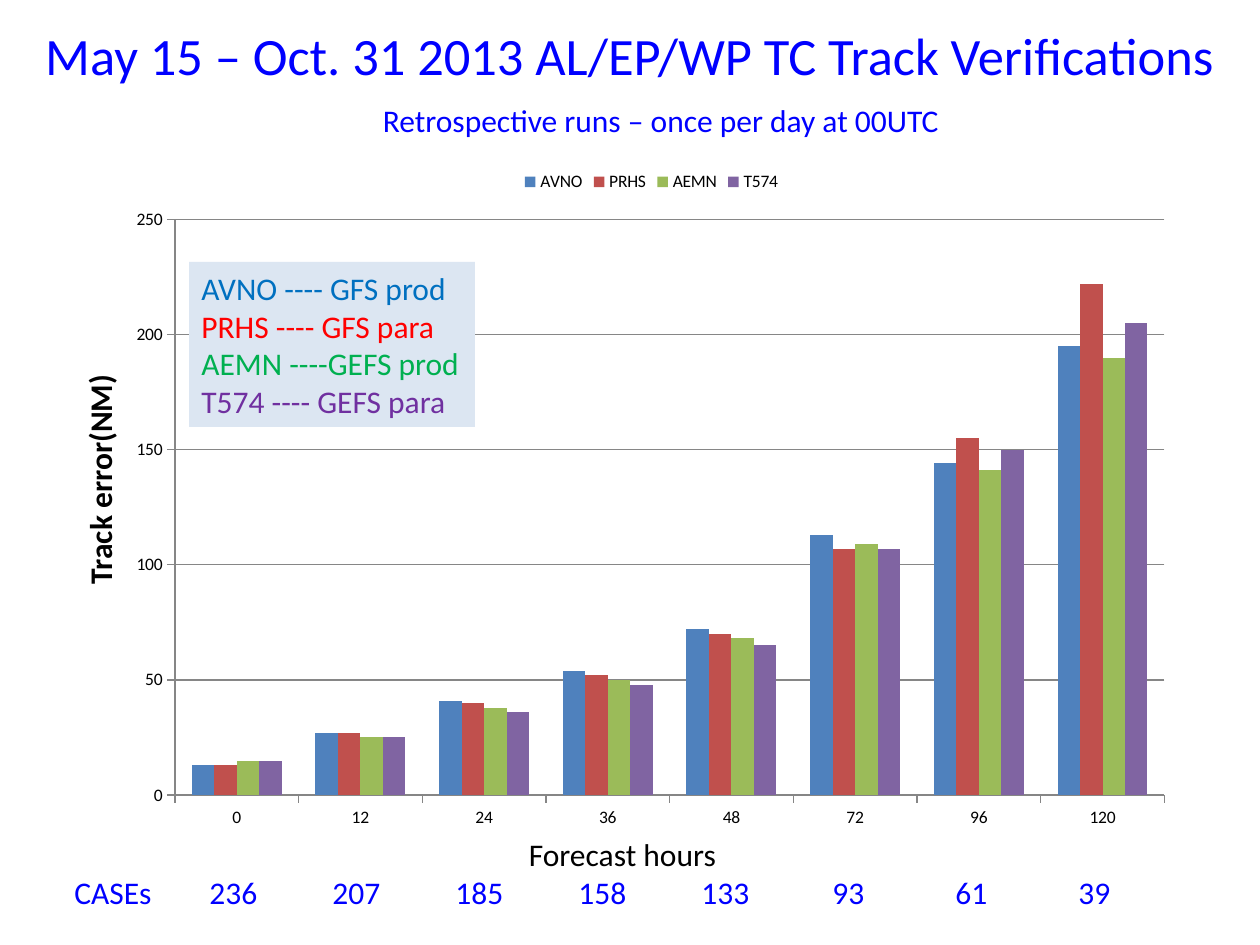
import pptx
import pptx.chart.data
import pptx.dml.color
import pptx.enum.chart
import pptx.enum.shapes
import pptx.enum.text
import pptx.oxml
import pptx.oxml.ns
import pptx.util

PX = 914400 // 126
RGB = pptx.dml.color.RGBColor.from_string
ALIGN = pptx.enum.text.PP_ALIGN
THEME = {
    "font": "Calibri", "title": 30, "body": 18, "chart": 10,
    "blue": "0000FF", "black": "000000", "key_fill": "DCE6F2", "grid": "868686",
}


def box(left, top, width, height):
    return [value * PX for value in (left, top, width, height)]


def write(shape, lines, colors, size=THEME["body"], align=ALIGN.LEFT, wrap=True, bold=False):
    frame = shape.text_frame
    frame.word_wrap = wrap
    frame.text = "\n".join(lines)
    for paragraph, color in zip(frame.paragraphs, colors):
        paragraph.alignment = align
        for run in paragraph.runs:
            run.font.name = THEME["font"]
            run.font.size = pptx.util.Pt(size)
            run.font.bold = bold
            run.font.color.rgb = RGB(color)


deck = pptx.Presentation()
deck.slide_width, deck.slide_height = 1260 * PX, 945 * PX
slide = deck.slides.add_slide(deck.slide_layouts[6])
shapes = slide.shapes

track_errors = pptx.chart.data.CategoryChartData()
track_errors.categories = ["0", "12", "24", "36", "48", "72", "96", "120"]
models = [
    ("AVNO", "4F81BD", [13, 27, 41, 54, 72, 113, 144, 195]),
    ("PRHS", "C0504D", [13, 27, 40, 52, 70, 107, 155, 222]),
    ("AEMN", "9BBB59", [15, 25, 38, 50, 68, 109, 141, 190]),
    ("T574", "8064A2", [15, 25, 36, 48, 65, 107, 150, 205]),
]
for name, color, errors in models:
    track_errors.add_series(name, errors)
chart = shapes.add_chart(
    pptx.enum.chart.XL_CHART_TYPE.COLUMN_CLUSTERED, *box(116, 158, 1071, 683), track_errors
).chart
chart.has_title = False
chart.font.name = THEME["font"]
chart.font.size = pptx.util.Pt(THEME["chart"])
chart.font.color.rgb = RGB(THEME["black"])
chart.has_legend = True
chart.legend.position = pptx.enum.chart.XL_LEGEND_POSITION.TOP
chart.legend.include_in_layout = False

bars = chart.plots[0]
bars.gap_width = 150
bars.overlap = 0
bars.vary_by_categories = False
for series, (name, color, errors) in zip(bars.series, models):
    series.format.fill.solid()
    series.format.fill.fore_color.rgb = RGB(color)

error_axis, hour_axis = chart.value_axis, chart.category_axis
error_axis.minimum_scale, error_axis.maximum_scale, error_axis.major_unit = 0, 250, 50
error_axis.has_major_gridlines = True
for axis in (error_axis, hour_axis):
    axis.major_tick_mark = pptx.enum.chart.XL_TICK_MARK.OUTSIDE
for line in (error_axis.format.line, hour_axis.format.line, error_axis.major_gridlines.format.line):
    line.color.rgb = RGB(THEME["grid"])
    line.width = pptx.util.Pt(0.75)

plot_area = chart._chartSpace.find(".//" + pptx.oxml.ns.qn("c:plotArea"))
for old_layout in plot_area.findall(pptx.oxml.ns.qn("c:layout")):
    plot_area.remove(old_layout)
plot_area.insert(0, pptx.oxml.parse_xml(
    f'<c:layout {pptx.oxml.ns.nsdecls("c")}><c:manualLayout><c:layoutTarget val="inner"/>'
    '<c:xMode val="edge"/><c:yMode val="edge"/>'
    '<c:x val="0.055"/><c:y val="0.09"/><c:w val="0.924"/><c:h val="0.843"/>'
    '</c:manualLayout></c:layout>'
))

title = shapes.add_textbox(*box(0, 3, 1260, 103))
title.text_frame.vertical_anchor = pptx.enum.text.MSO_ANCHOR.MIDDLE
write(title, ["May 15 – Oct. 31 2013 AL/EP/WP TC Track Verifications"],
      [THEME["blue"]], THEME["title"], ALIGN.CENTER)

error_label = shapes.add_textbox(*box(-31, 441, 261, 50))
error_label.rotation = 270
write(error_label, ["Track error(NM)"], [THEME["black"]], wrap=False, bold=True)

model_key = shapes.add_shape(pptx.enum.shapes.MSO_SHAPE.RECTANGLE, *box(189, 262, 286, 165))
model_key.shadow.inherit = False
model_key.fill.solid()
model_key.fill.fore_color.rgb = RGB(THEME["key_fill"])
model_key.line.fill.background()
write(model_key,
      ["AVNO ---- GFS prod", "PRHS ---- GFS para", "AEMN ----GEFS prod", "T574 ---- GEFS para"],
      ["0070C0", "FF0000", "00B050", "7030A0"], wrap=False)

cases = [236, 207, 185, 158, 133, 93, 61, 39]
hours_and_cases = shapes.add_textbox(*box(62, 829, 1110, 90))
write(hours_and_cases,
      ["\tForecast hours", "\t".join(["CASEs", *map(str, cases)])],
      [THEME["black"], THEME["blue"]])
tab_stops = [[548], [159 + 123 * column for column in range(len(cases))]]
for paragraph, stops in zip(hours_and_cases.text_frame.paragraphs, tab_stops):
    tabs = "".join(f'<a:tab pos="{stop * PX}" algn="ctr"/>' for stop in stops)
    paragraph._p.get_or_add_pPr().append(pptx.oxml.parse_xml(
        f'<a:tabLst {pptx.oxml.ns.nsdecls("a")}>{tabs}</a:tabLst>'
    ))

subtitle = shapes.add_textbox(*box(220, 95, 882, 53))
write(subtitle, ["Retrospective runs – once per day at 00UTC"], [THEME["blue"]], align=ALIGN.CENTER)

deck.save("out.pptx")
